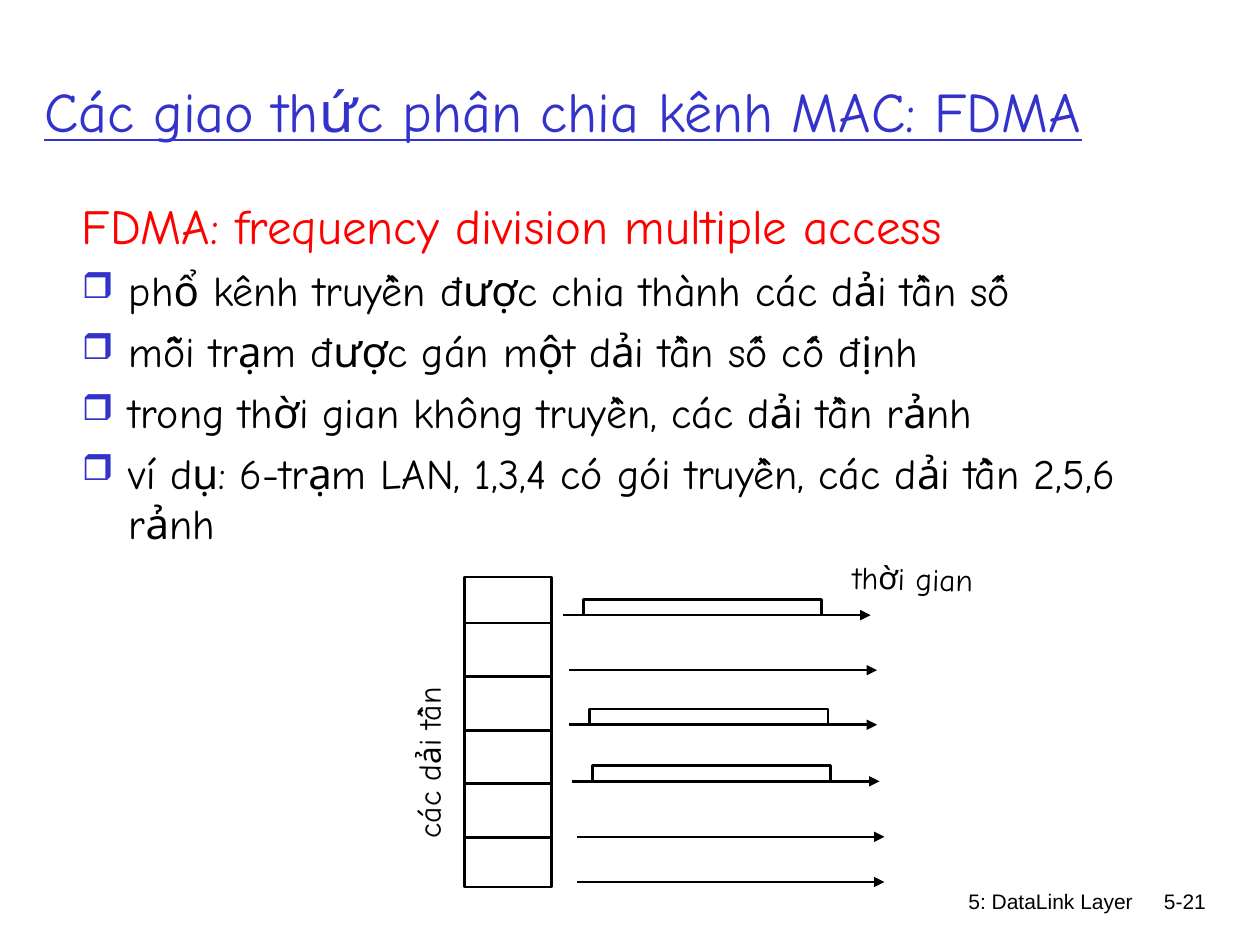
from typing import NamedTuple

import pptx
import pptx.dml.color
import pptx.enum.shapes
import pptx.enum.text
import pptx.oxml
import pptx.oxml.ns
import pptx.util

Cm = pptx.util.Cm
Pt = pptx.util.Pt
Align = pptx.enum.text.PP_ALIGN

BLACK, WHITE, BLUE, RED = "000000", "FFFFFF", "3333CC", "FF0000"
HAND, SANS = "Comic Neue", "Arial"
LINE_WIDTH = 1.5
INDENT = 0.95


class Label(NamedTuple):
    text: str
    box: tuple[float, float, float, float]
    size: int
    font: str = HAND
    align: Align = Align.LEFT
    rotation: float = 0
    wrap: bool = True


class Channel(NamedTuple):
    left: float
    y: float
    busy: bool


LABELS = [
    Label("5: DataLink Layer", (15.04, 17.78, 8.05, 1.27), 12, SANS, Align.RIGHT),
    Label("5-21", (22.68, 17.78, 1.88, 1.27), 12, SANS, Align.RIGHT),
    Label("các dải tần", (6.86, 14.86, 3.56, 1.02), 18, rotation=270, wrap=False),
    Label("thời gian", (16.94, 11.15, 3.2, 1.02), 18, rotation=1.1, wrap=False),
]
CHANNELS = [
    Channel(11.35, 12.4, True),
    Channel(11.48, 13.51, False),
    Channel(11.48, 14.61, True),
    Channel(11.53, 15.75, True),
    Channel(11.63, 16.87, False),
    Channel(11.63, 17.78, False),
]
HEADING = "FDMA: frequency division multiple access"
BULLETS = [
    "phổ kênh truyền được chia thành các dải tần số",
    "mỗi trạm được gán một dải tần số cố định",
    "trong thời gian không truyền, các dải tần rảnh",
    "ví dụ: 6-trạm LAN, 1,3,4 có gói truyền, các dải tần 2,5,6 rảnh",
]


def color(hex_value: str) -> pptx.dml.color.RGBColor:
    return pptx.dml.color.RGBColor.from_string(hex_value)


def add_xml(parent, tag: str, **attributes: str):
    element = pptx.oxml.parse_xml(f"<a:{tag} {pptx.oxml.ns.nsdecls('a')}/>")
    for name, value in attributes.items():
        element.set(name, value)
    parent.append(element)
    return element


def format_runs(paragraph, size: int, hex_value: str, font: str = HAND) -> None:
    for run in paragraph.runs:
        run.font.name = font
        run.font.size = Pt(size)
        run.font.color.rgb = color(hex_value)


def set_outline(shape) -> None:
    shape.line.color.rgb = color(BLACK)
    shape.line.width = Pt(LINE_WIDTH)


def add_label(slide, label: Label) -> None:
    shape = slide.shapes.add_textbox(*map(Cm, label.box))
    shape.rotation = label.rotation
    shape.text_frame.text = label.text
    shape.text_frame.word_wrap = label.wrap
    paragraph = shape.text_frame.paragraphs[0]
    paragraph.alignment = label.align
    format_runs(paragraph, label.size, BLACK, label.font)


def add_line(slide, left: float, right: float, y: float, arrow: bool = False) -> None:
    connector = slide.shapes.add_connector(
        pptx.enum.shapes.MSO_CONNECTOR.STRAIGHT, Cm(left), Cm(y), Cm(right), Cm(y))
    set_outline(connector)
    if arrow:
        add_xml(connector.line._get_or_add_ln(), "tailEnd", type="triangle")
    add_xml(connector._element.spPr, "effectLst")


def add_pulse(slide, left: float, base: float) -> None:
    right, top = left + 4.8, base - 0.32
    builder = slide.shapes.build_freeform(Cm(left), Cm(base))
    builder.add_line_segments(
        [(Cm(left), Cm(top)), (Cm(right), Cm(top)), (Cm(right), Cm(base))], close=False)
    pulse = builder.convert_to_shape()
    pulse.shadow.inherit = False
    pulse.fill.background()
    set_outline(pulse)


def add_channel(slide, channel: Channel) -> None:
    add_line(slide, channel.left, channel.left + 6.2, channel.y, arrow=True)
    if channel.busy:
        add_pulse(slide, channel.left + 0.41, channel.y)


def add_title(slide) -> None:
    title = slide.shapes.title
    title.left, title.top, title.width, title.height = map(Cm, (0.64, 0.64, 23.98, 3.18))
    text_frame = title.text_frame
    text_frame.text = "Các giao thức phân chia kênh MAC: FDMA"
    text_frame.auto_size = pptx.enum.text.MSO_AUTO_SIZE.NONE
    text_frame.vertical_anchor = pptx.enum.text.MSO_ANCHOR.MIDDLE
    paragraph = text_frame.paragraphs[0]
    paragraph.alignment = Align.LEFT
    format_runs(paragraph, 32, BLUE)
    paragraph.runs[0].font.underline = True


def add_body(slide) -> None:
    body = slide.shapes.add_textbox(Cm(1.4), Cm(3.81), Cm(22.83), Cm(12.9))
    text_frame = body.text_frame
    text_frame.word_wrap = True
    text_frame.text = HEADING
    format_runs(text_frame.paragraphs[0], 28, RED)
    for text in BULLETS:
        paragraph = text_frame.add_paragraph()
        paragraph.text = text
        paragraph.space_before = Pt(6)
        properties = paragraph._p.get_or_add_pPr()
        properties.set("marL", str(Cm(INDENT)))
        properties.set("indent", str(-Cm(INDENT)))
        add_xml(add_xml(properties, "buClr"), "srgbClr", val=BLUE)
        add_xml(properties, "buSzPct", val="85000")
        add_xml(properties, "buChar", char="❒")
        format_runs(paragraph, 24, BLACK)


def add_bands(slide) -> None:
    left, width = 9.37, 1.75
    column = slide.shapes.add_shape(
        pptx.enum.shapes.MSO_SHAPE.RECTANGLE, Cm(left), Cm(11.63), Cm(width), Cm(6.25))
    column.shadow.inherit = False
    column.fill.solid()
    column.fill.fore_color.rgb = color(WHITE)
    set_outline(column)
    for index in range(len(CHANNELS) - 1):
        add_line(slide, left, left + width, 12.56 + 1.08 * index)


def main() -> None:
    presentation = pptx.Presentation()
    presentation.slide_width, presentation.slide_height = Cm(25.4), Cm(19.05)
    slide = presentation.slides.add_slide(presentation.slide_layouts[5])

    # Title and explanation
    add_title(slide)
    add_body(slide)

    # Frequency bands and their use over time
    add_bands(slide)
    for channel in CHANNELS:
        add_channel(slide, channel)

    # Axis labels and footer
    for label in LABELS:
        add_label(slide, label)

    presentation.save("out.pptx")


if __name__ == "__main__":
    main()
